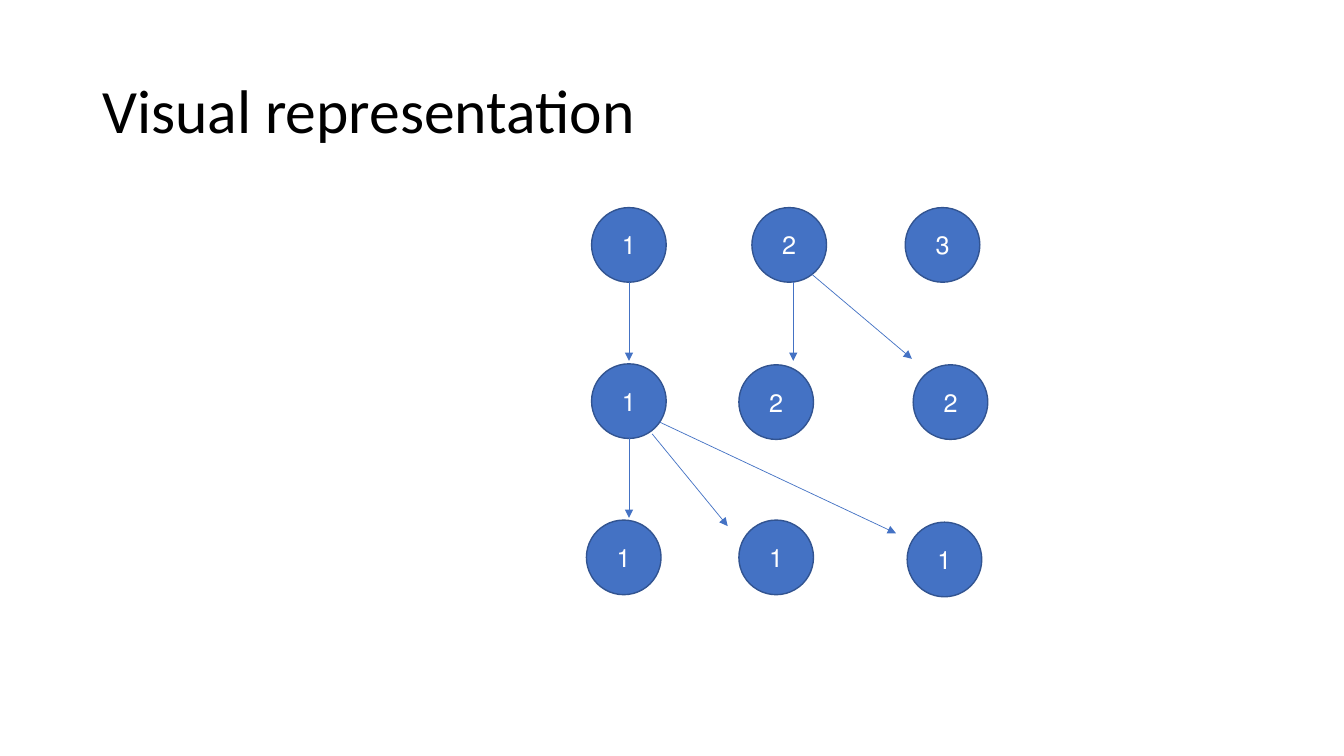
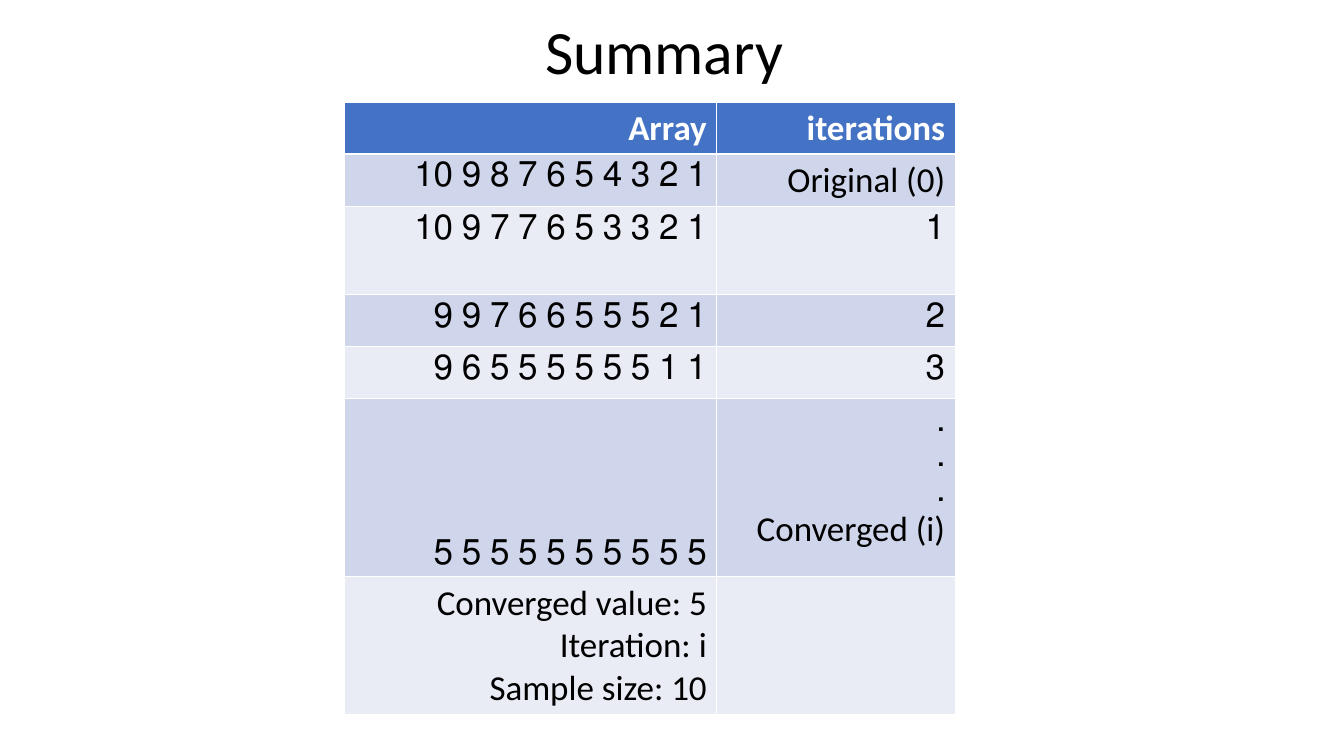
from pptx import Presentation
from pptx.dml.color import RGBColor
from pptx.enum.shapes import MSO_CONNECTOR, MSO_SHAPE
from pptx.enum.text import MSO_ANCHOR, PP_ALIGN
from pptx.oxml.ns import qn
from pptx.util import Pt
from lxml.etree import SubElement

COLOURS = {
    "text": "000000",
    "white": "FFFFFF",
    "blue": "4472C4",
    "outline": "325491",
    "dark band": "CFD5EA",
    "light band": "E9EBF5",
}
FONT = "Calibri"
TITLE_SIZE = (828, 104.4)

# Each row of the tree: (label, left, top)
NODE_ROWS = [
    [("1", 422.6, 148.3), ("2", 537.1, 148.3), ("3", 646.6, 148.3)],
    [("1", 422.6, 259.9), ("2", 527.8, 260.6), ("2", 652.3, 260.6)],
    [("1", 418.9, 371.5), ("1", 527.8, 371.5), ("1", 648, 373)],
]
NODE_SIZE = 53.3

# Start and end of each arrow
ARROWS = [
    ((449.3, 201.6), (449.3, 257.8)),
    ((566.6, 201.6), (566.6, 257.8)),
    ((580, 196), (651.4, 256.3)),
    ((449.3, 313.2), (449.3, 370)),
    ((465.8, 309.9), (519.8, 375.8)),
    ((471.6, 301.7), (640, 380.9)),
]

# Each table row: (height, array lines, iteration lines)
SUMMARY_ROWS = [
    (36.8, ["Array"], ["iterations"]),
    (37.5, ["1 2 3 4 5 6 7 8 9 10"], ["Original (0)"]),
    (62.9, ["1 2 3 3 5 6 7 7 9 10"], ["1"]),
    (32.1, ["1 2 5 5 5 6 6 7 9 9"], ["2"]),
    (32.1, ["1 1 5 5 5 5 5 5 6 9"], ["3"]),
    (123.6, ["5 5 5 5 5 5 5 5 5 5"], [".", ".", ".", "Converged (i)"]),
    (98.6, ["Converged value: 5", "Iteration: i", "Sample size: 10"], []),
]
CONVERGED_ROW = 5
COLUMN_WIDTHS = (265.7, 170.3)
TABLE_LEFT, TABLE_TOP = 246.3, 72.8


def colour(name):
    return RGBColor.from_string(COLOURS[name])


def set_all(target, values):
    for name, value in values.items():
        setattr(target, name, value)


def write(frame, lines, size, colour_name="text", rtl=True, bold=False, **paragraph_format):
    """Fill a text frame with one paragraph per line."""
    for index, line in enumerate(lines):
        paragraph = frame.add_paragraph() if index else frame.paragraphs[0]
        set_all(paragraph, paragraph_format)
        if rtl:
            paragraph._p.get_or_add_pPr().set("rtl", "1")
        run = paragraph.add_run()
        run.text = line
        set_all(run.font, {"name": FONT, "size": Pt(size), "bold": bold})
        run.font.color.rgb = colour(colour_name)


def add_title(slide, text, left, top, **text_format):
    box = slide.shapes.add_textbox(Pt(left), Pt(top), *map(Pt, TITLE_SIZE))
    set_all(box.text_frame, {"word_wrap": True, "vertical_anchor": MSO_ANCHOR.MIDDLE})
    write(box.text_frame, [text], 44, line_spacing=0.9, **text_format)


def add_node(slide, label, left, top):
    node = slide.shapes.add_shape(
        MSO_SHAPE.OVAL, Pt(left), Pt(top), Pt(NODE_SIZE), Pt(NODE_SIZE))
    node.shadow.inherit = False
    node.fill.solid()
    node.fill.fore_color.rgb = colour("blue")
    node.line.color.rgb = colour("outline")
    node.line.width = Pt(1)
    node.text_frame.vertical_anchor = MSO_ANCHOR.MIDDLE
    write(node.text_frame, [label], 18, "white", alignment=PP_ALIGN.CENTER)


def add_arrow(slide, start, end):
    arrow = slide.shapes.add_connector(
        MSO_CONNECTOR.STRAIGHT, *map(Pt, start + end))
    arrow.line.color.rgb = colour("blue")
    arrow.line.width = Pt(0.5)
    SubElement(arrow.line._get_or_add_ln(), qn("a:tailEnd"), type="triangle")
    SubElement(arrow._element.spPr, qn("a:effectLst"))


def add_summary_table(slide):
    heights = [height for height, *_ in SUMMARY_ROWS]
    table = slide.shapes.add_table(
        len(SUMMARY_ROWS), len(COLUMN_WIDTHS), Pt(TABLE_LEFT), Pt(TABLE_TOP),
        Pt(sum(COLUMN_WIDTHS)), Pt(sum(heights))).table
    for column, width in zip(table.columns, COLUMN_WIDTHS):
        column.width = Pt(width)
    for row_index, (height, *cells) in enumerate(SUMMARY_ROWS):
        table.rows[row_index].height = Pt(height)
        is_header = row_index == 0
        band = "blue" if is_header else ("light band", "dark band")[row_index % 2]
        for column_index, lines in enumerate(cells):
            cell = table.cell(row_index, column_index)
            cell.fill.solid()
            cell.fill.fore_color.rgb = colour(band)
            write(cell.text_frame, lines, 25, "white" if is_header else "text",
                  bold=is_header, alignment=PP_ALIGN.RIGHT)
    table.cell(CONVERGED_ROW, 0).vertical_anchor = MSO_ANCHOR.BOTTOM


def main():
    presentation = Presentation()
    set_all(presentation, {"slide_width": Pt(960), "slide_height": Pt(540)})
    blank = presentation.slide_layouts[6]

    tree_slide = presentation.slides.add_slide(blank)
    add_title(tree_slide, "Visual representation", 66, 28.8, rtl=False)
    for row in NODE_ROWS:
        for node in row:
            add_node(tree_slide, *node)
    for arrow in ARROWS:
        add_arrow(tree_slide, *arrow)

    summary_slide = presentation.slides.add_slide(blank)
    add_title(summary_slide, "Summary", 60.5, -13, alignment=PP_ALIGN.CENTER)
    add_summary_table(summary_slide)

    presentation.save("out.pptx")


if __name__ == "__main__":
    main()
